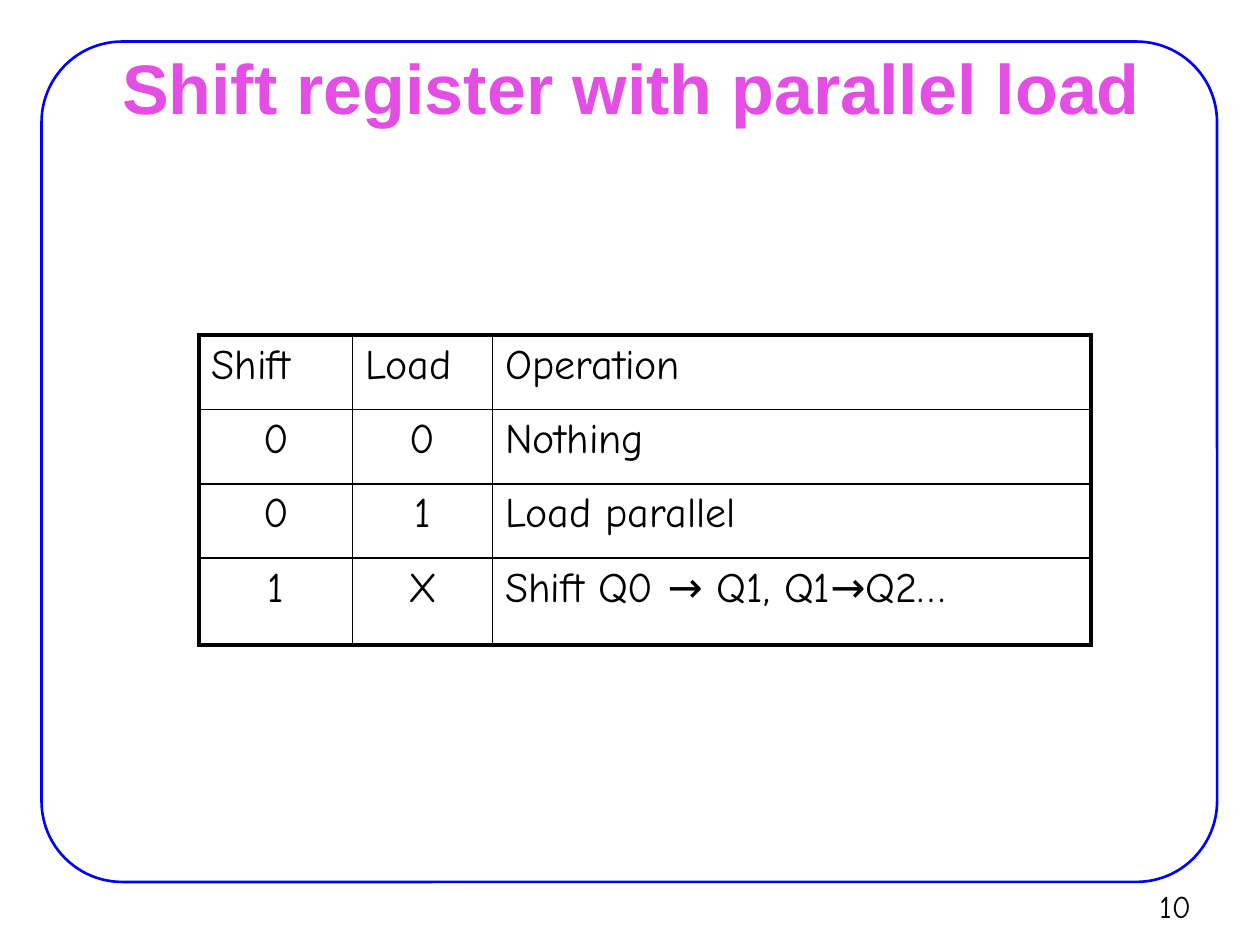
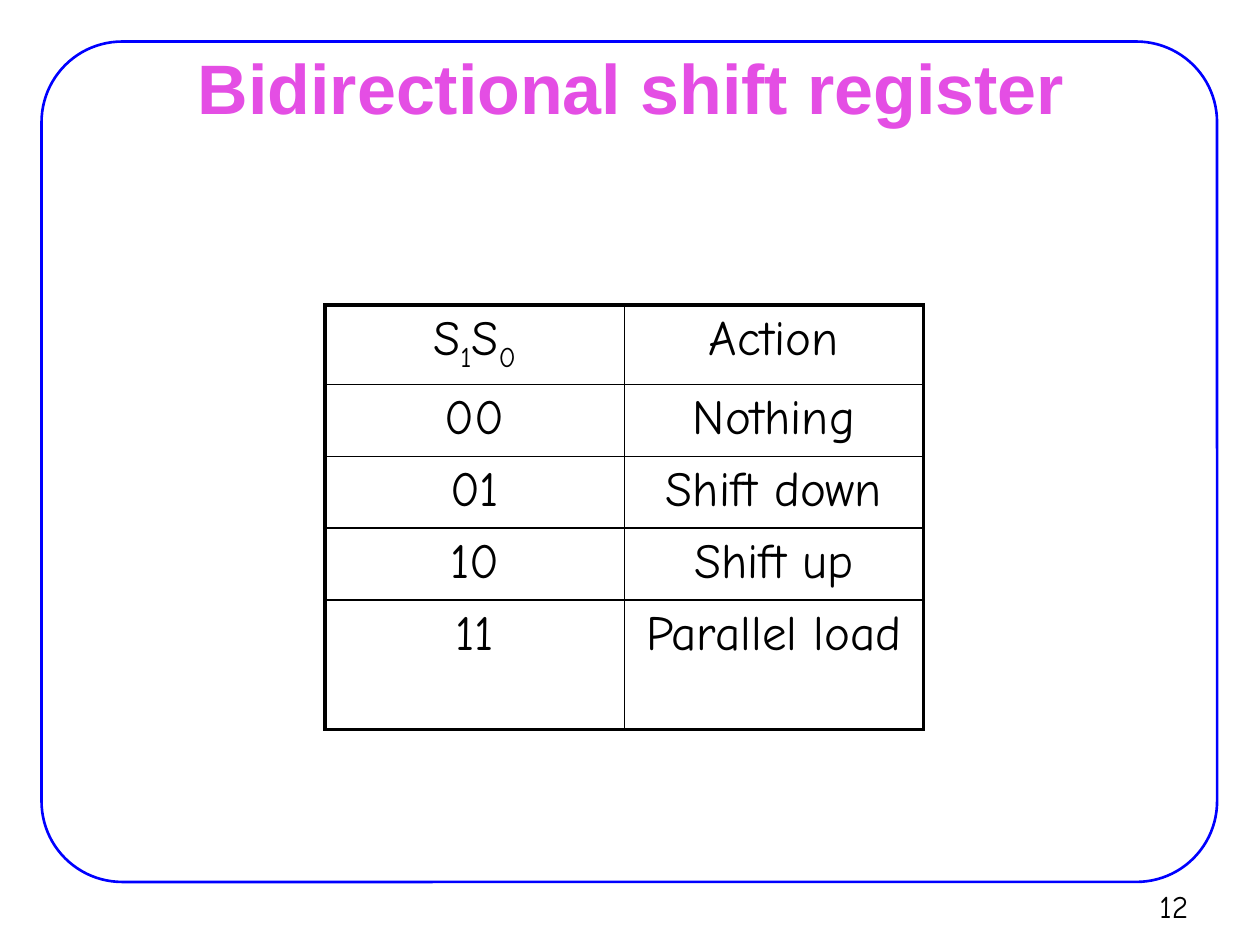
from lxml import etree
from pptx import Presentation
from pptx.dml.color import RGBColor
from pptx.enum.shapes import MSO_SHAPE
from pptx.enum.text import MSO_ANCHOR, PP_ALIGN
from pptx.oxml.ns import qn
from pptx.util import Inches, Pt

BLACK, BLUE, PINK = "000000", "0000FF", "E44EE4"
BODY_FONT = "Comic Neue"
TITLE = dict(name="Arial", size=Pt(40), bold=True)
NUMBER = dict(name=BODY_FONT, size=Pt(18))
OUTER, INNER = 2.25, 1
LEFT, CENTER = PP_ALIGN.LEFT, PP_ALIGN.CENTER


def rgb(hex_color):
    return RGBColor.from_string(hex_color)


class Deck:
    """Holds the shared style and the slide being filled."""

    def __init__(self):
        self.prs = Presentation()
        self.prs.slide_width, self.prs.slide_height = Inches(10), Inches(7.5)

    def new_slide(self, title, number):
        self.s = self.prs.slides.add_slide(self.prs.slide_layouts[6])
        self.frame()
        self.text(title, (0.76, 0.44, 8.5, 0.49), TITLE, PINK, CENTER, MSO_ANCHOR.MIDDLE)
        self.text(f" {number}", (9.02, 6.99, 0.61, 0.37), NUMBER)

    def frame(self):
        sp = self.s.shapes.add_shape(
            MSO_SHAPE.ROUNDED_RECTANGLE, *map(Inches, (0.33, 0.33, 9.33, 6.67)))
        sp.adjustments[0] = 0.096
        sp.shadow.inherit = False
        sp.fill.background()
        sp.line.color.rgb = rgb(BLUE)
        sp.line.width = Pt(1.5)

    def text(self, text, box, style, color=BLACK, align=LEFT, anchor=MSO_ANCHOR.TOP):
        tf = self.s.shapes.add_textbox(*map(Inches, box)).text_frame
        tf.word_wrap = True
        tf.vertical_anchor = anchor
        self.add_runs(tf, [text], style, color, align)

    def add_runs(self, tf, parts, style, color, align):
        """Fill the first paragraph; every second part is a subscript."""
        p = tf.paragraphs[0]
        p.alignment = align
        for i, part in enumerate(parts):
            r = p.add_run()
            r.text = part
            for name, value in style.items():
                setattr(r.font, name, value)
            r.font.color.rgb = rgb(color)
            if i % 2:
                r._r.get_or_add_rPr().set("baseline", "-25000")

    def table(self, left, top, widths, heights, rows, size, centered):
        """Draw a ruled table; centered(row, column) tells which cells are centred."""
        sp = self.s.shapes.add_table(
            len(heights), len(widths),
            *map(Inches, (left, top, sum(widths), sum(heights))))
        table = sp.table
        table.first_row = table.horz_banding = False
        for column, width in zip(table.columns, widths):
            column.width = Inches(width)
        style = dict(name=BODY_FONT, size=Pt(size), bold=False)
        last_row, last_col = len(heights) - 1, len(widths) - 1
        for i, values in enumerate(rows):
            table.rows[i].height = Inches(heights[i])
            for j, value in enumerate(values):
                cell = table.cell(i, j)
                cell.fill.background()
                self.borders(cell, dict(L=j == 0, R=j == last_col, T=i == 0, B=i == last_row))
                parts = [value] if isinstance(value, str) else value
                align = CENTER if centered(i, j) else LEFT
                self.add_runs(cell.text_frame, parts, style, BLACK, align)

    def borders(self, cell, outer_sides):
        tcPr = cell._tc.get_or_add_tcPr()
        for i, (side, is_outer) in enumerate(outer_sides.items()):
            width = Pt(OUTER if is_outer else INNER)
            ln = etree.Element(qn(f"a:ln{side}"), w=str(int(width)))
            fill = etree.SubElement(ln, qn("a:solidFill"))
            etree.SubElement(fill, qn("a:srgbClr"), val=BLACK)
            tcPr.insert(i, ln)


def main():
    deck = Deck()

    deck.new_slide("Shift register with parallel load", 10)
    operations = [
        ("Shift", "Load", "Operation"),
        ("0", "0", "Nothing"),
        ("0", "1", "Load parallel"),
        ("1", "X", "Shift Q0 → Q1, Q1→Q2…"),
    ]
    deck.table(1.58, 2.66, [1.22, 1.11, 4.75], [0.59] * 3 + [0.69], operations, 24,
               centered=lambda row, column: row > 0 and column < 2)

    deck.new_slide("Bidirectional shift register", 12)
    actions = [
        (("S", "1", "S", "0"), "Action"),
        ("00", "Nothing"),
        ("01", "Shift down"),
        ("10", "Shift up"),
        ("11", "Parallel load"),
    ]
    deck.table(2.58, 2.42, [4.75 / 2] * 2, [0.57] * 4 + [1.03], actions, 28,
               centered=lambda row, column: True)

    deck.prs.save("out.pptx")


if __name__ == "__main__":
    main()
